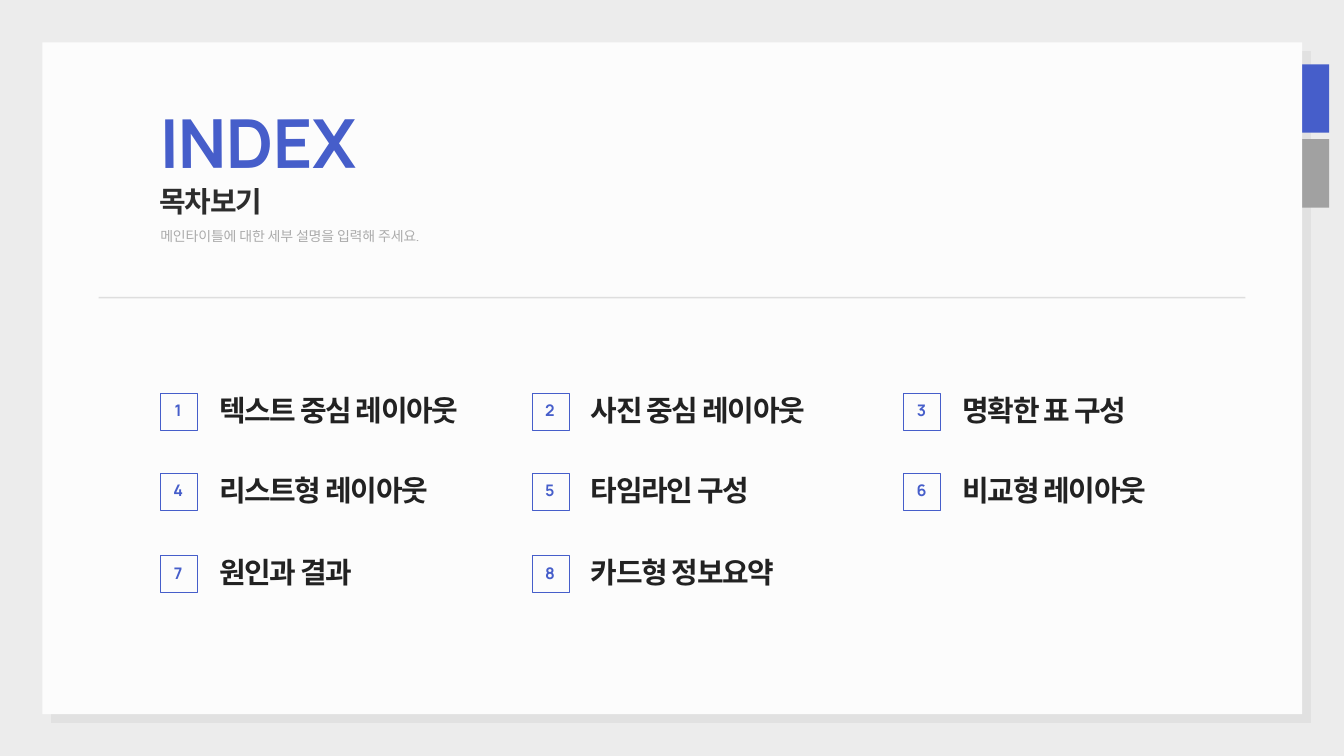
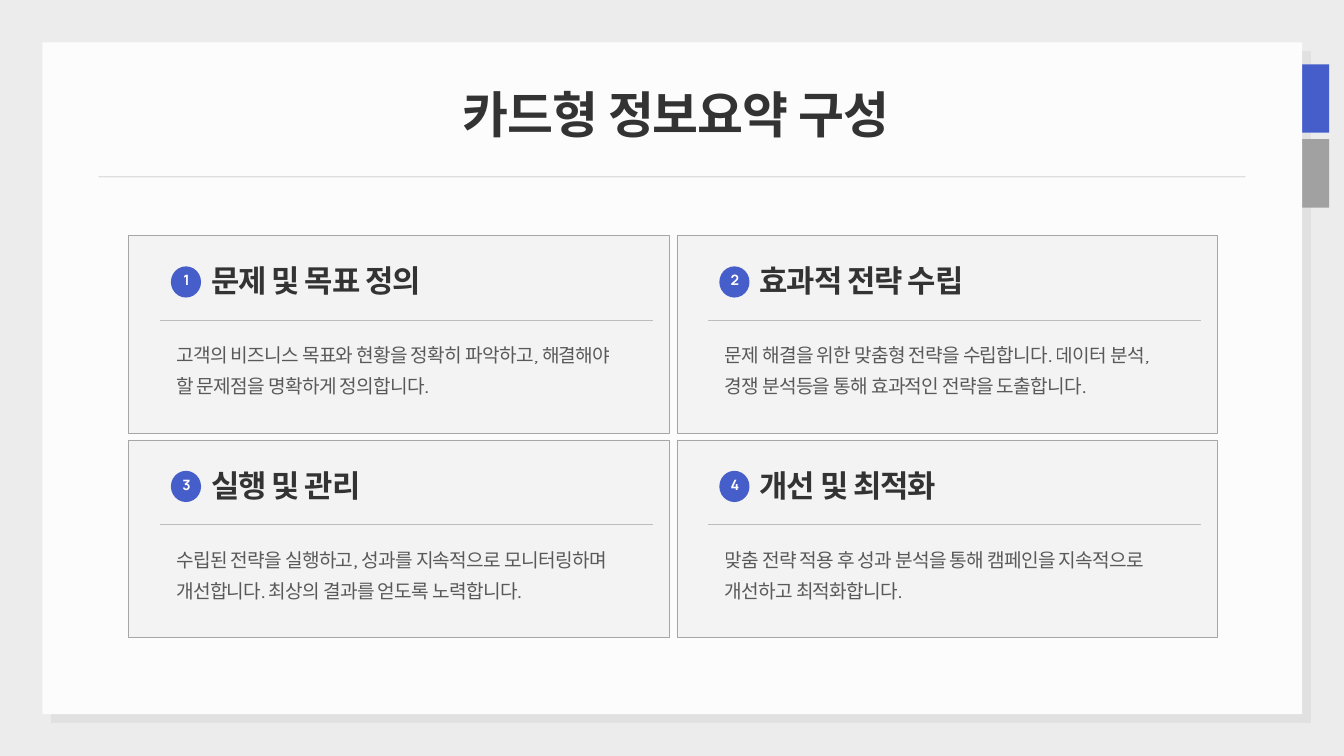
from collections import namedtuple

from lxml.etree import SubElement
from pptx import Presentation
from pptx.dml.color import RGBColor
from pptx.enum.shapes import MSO_CONNECTOR, MSO_SHAPE
from pptx.enum.text import MSO_AUTO_SIZE, PP_ALIGN
from pptx.oxml.ns import qn
from pptx.util import Cm, Pt

COLORS = {
    "background": "ECECEC",
    "sheet": "FCFCFC",
    "sheet_shadow": "E1E1E1",
    "accent": "465ECA",
    "tab": "A1A1A1",
    "ink": "222222",
    "heading": "333333",
    "card": "F3F3F3",
    "card_edge": "A6A6A6",
    "card_rule": "BDBDBD",
    "white": "FFFFFF",
}

Box = namedtuple("Box", "left top width height")
Style = namedtuple("Style", "font size color spacing leading bold align alpha",
                   defaults=(True, PP_ALIGN.LEFT, 100))

STYLES = {
    "index_title": Style("Manrope", 72.3, "accent", -0.5, 73.8),
    "index_subtitle": Style("Karla", 31, "ink", -1.3, 40.7, alpha=94),
    "index_note": Style("Karla", 15, "ink", -0.2, 23.1, bold=False, alpha=36),
    "index_label": Style("Karla", 31, "ink", -1.4, 35),
    "index_number": Style("Manrope", 17.1, "accent", -0.4, 20.6, align=PP_ALIGN.CENTER),
    "slide_title": Style("Karla", 53.5, "heading", -1.1, 54.6, align=PP_ALIGN.CENTER),
    "card_title": Style("Karla", 33, "heading", -1.1, 38.3),
    "card_body": Style("Karla", 20.5, "heading", -0.7, 33, bold=False, alpha=80),
    "card_number": Style("Manrope", 15.3, "white", 1.2, 12.7, align=PP_ALIGN.CENTER),
}

SHEET = Box(1.6, 1.6, 47.62, 25.4)

INDEX_COLUMNS = [
    (10.64, ["텍스트 중심 레이아웃", "리스트형 레이아웃", "원인과 결과"]),
    (10.03, ["사진 중심 레이아웃", "타임라인 구성", "카드형 정보요약"]),
    (8.84, ["명확한 표 구성", "비교형 레이아웃"]),
]
INDEX_ROW_TOPS = [14.86, 17.88, 21.01]

CARDS = [
    ("문제 및 목표 정의",
     "고객의 비즈니스 목표와 현황을 정확히 파악하고, 해결해야 할 문제점을 명확하게 정의합니다."),
    ("효과적 전략 수립",
     "문제 해결을 위한 맞춤형 전략을 수립합니다. 데이터 분석, 경쟁 분석등을 통해 효과적인 전략을 도출합니다."),
    ("실행 및 관리",
     "수립된 전략을 실행하고, 성과를 지속적으로 모니터링하며 개선합니다. 최상의 결과를 얻도록 노력합니다."),
    ("개선 및 최적화",
     "맞춤 전략 적용 후 성과 분석을 통해 캠페인을 지속적으로 개선하고 최적화합니다."),
]


def rgb(name):
    return RGBColor.from_string(COLORS[name])


def set_alpha(element, percent):
    if percent < 100:
        for color in element.iter(qn("a:srgbClr")):
            SubElement(color, qn("a:alpha")).set("val", str(percent * 1000))


def inside(box, left, top, width, height):
    return Box(box.left + left, box.top + top, width, height)


def add_block(slide, box, fill=None, edge=None, outline=MSO_SHAPE.RECTANGLE):
    block = slide.shapes.add_shape(outline, *map(Cm, box))
    block.shadow.inherit = False
    if fill:
        block.fill.solid()
        block.fill.fore_color.rgb = rgb(fill)
    else:
        block.fill.background()
    if edge:
        block.line.color.rgb = rgb(edge)
        block.line.width = Pt(0.75)
    else:
        block.line.fill.background()


def add_rule(slide, left, top, length, color, weight, alpha=100):
    rule = slide.shapes.add_connector(
        MSO_CONNECTOR.STRAIGHT, Cm(left), Cm(top), Cm(left + length), Cm(top))
    rule.line.color.rgb = rgb(color)
    rule.line.width = Pt(weight)
    properties = rule._element.spPr
    set_alpha(properties, alpha)
    SubElement(properties, qn("a:effectLst"))


def add_text(slide, box, words, style_name):
    style = STYLES[style_name]
    holder = slide.shapes.add_textbox(*map(Cm, box))
    frame = holder.text_frame
    frame.margin_left = frame.margin_top = frame.margin_right = frame.margin_bottom = 0
    frame.word_wrap = True
    frame.auto_size = MSO_AUTO_SIZE.SHAPE_TO_FIT_TEXT
    frame.text = words
    paragraph = frame.paragraphs[0]
    paragraph.alignment = style.align
    paragraph.line_spacing = Pt(style.leading)
    run = paragraph.runs[0]
    run.font.name = style.font
    run.font.size = Pt(style.size)
    run.font.bold = style.bold
    run.font.color.rgb = rgb(style.color)
    properties = run._r.get_or_add_rPr()
    properties.set("spc", str(round(style.spacing * 100)))
    set_alpha(properties, style.alpha)
    return holder


def add_sheet(slide, box, divider_top):
    slide.background.fill.solid()
    slide.background.fill.fore_color.rgb = rgb("background")
    add_block(slide, inside(box, 0.33, 0.33, box.width, box.height), "sheet_shadow")
    for position, color in enumerate(["accent", "tab"]):
        add_block(slide, inside(box, 46.56, 0.83 + position * 2.83, 2.08, 2.59), color)
    add_block(slide, box, "sheet")
    add_rule(slide, box.left + 2.13, box.top + divider_top, 43.34, "heading", 1.5, 15)


def add_index_heading(slide, box):
    title = add_text(slide, inside(box, 0, 0, 9.35, 2.9), "INDEX", "index_title")
    title.rotation = -0.3
    add_text(slide, inside(box, 0, 4.16, 11.48, 0.74),
             "메인타이틀에 대한 세부 설명을 입력해 주세요.", "index_note")
    add_text(slide, inside(box, -0.03, 2.54, 10.11, 1.42), "목차보기", "index_subtitle")


def add_index_entry(slide, box, number, label):
    add_block(slide, inside(box, 0, 0, 1.4, 1.4), edge="accent")
    add_text(slide, inside(box, 0, 0.29, 1.35, 0.79), str(number), "index_number")
    add_text(slide, inside(box, 2.22, 0.05, box.width, 1.27), label, "index_label")


def add_card(slide, box, number, title, body):
    add_block(slide, box, "card", "card_edge")
    add_text(slide, inside(box, 3.12, 1.05, 11.23, 1.37), title, "card_title")
    add_text(slide, inside(box, 1.8, 3.8, 17.15, 2.26), body, "card_body")
    add_rule(slide, box.left + 1.17, box.top + 3.2, 18.64, "card_rule", 0.75)
    add_block(slide, inside(box, 1.6, 1.17, 1.14, 1.18), "accent", outline=MSO_SHAPE.OVAL)
    add_text(slide, inside(box, 1.54, 1.57, 1.3, 0.5), str(number), "card_number")


def build_index(slide):
    add_sheet(slide, SHEET, 9.65)
    add_index_heading(slide, Box(6.06, 4.27, 11.48, 4.9))
    for column, (width, labels) in enumerate(INDEX_COLUMNS):
        for row, label in enumerate(labels):
            entry = Box(6.06 + column * 14.05, INDEX_ROW_TOPS[row], width, 1.4)
            add_index_entry(slide, entry, row * len(INDEX_COLUMNS) + column + 1, label)


def build_cards(slide):
    add_sheet(slide, SHEET, 5.08)
    add_text(slide, Box(8.1, 3.51, 34.9, 1.98), "카드형 정보요약 구성", "slide_title")
    for position, (title, body) in enumerate(CARDS):
        row, column = divmod(position, 2)
        card = Box(4.86 + column * 20.73, 8.9 + row * 7.73, 20.43, 7.48)
        add_card(slide, card, position + 1, title, body)


def main():
    deck = Presentation()
    deck.slide_width = Cm(50.8)
    deck.slide_height = Cm(28.58)
    for build in (build_index, build_cards):
        build(deck.slides.add_slide(deck.slide_layouts[6]))
    deck.save("out.pptx")


if __name__ == "__main__":
    main()
